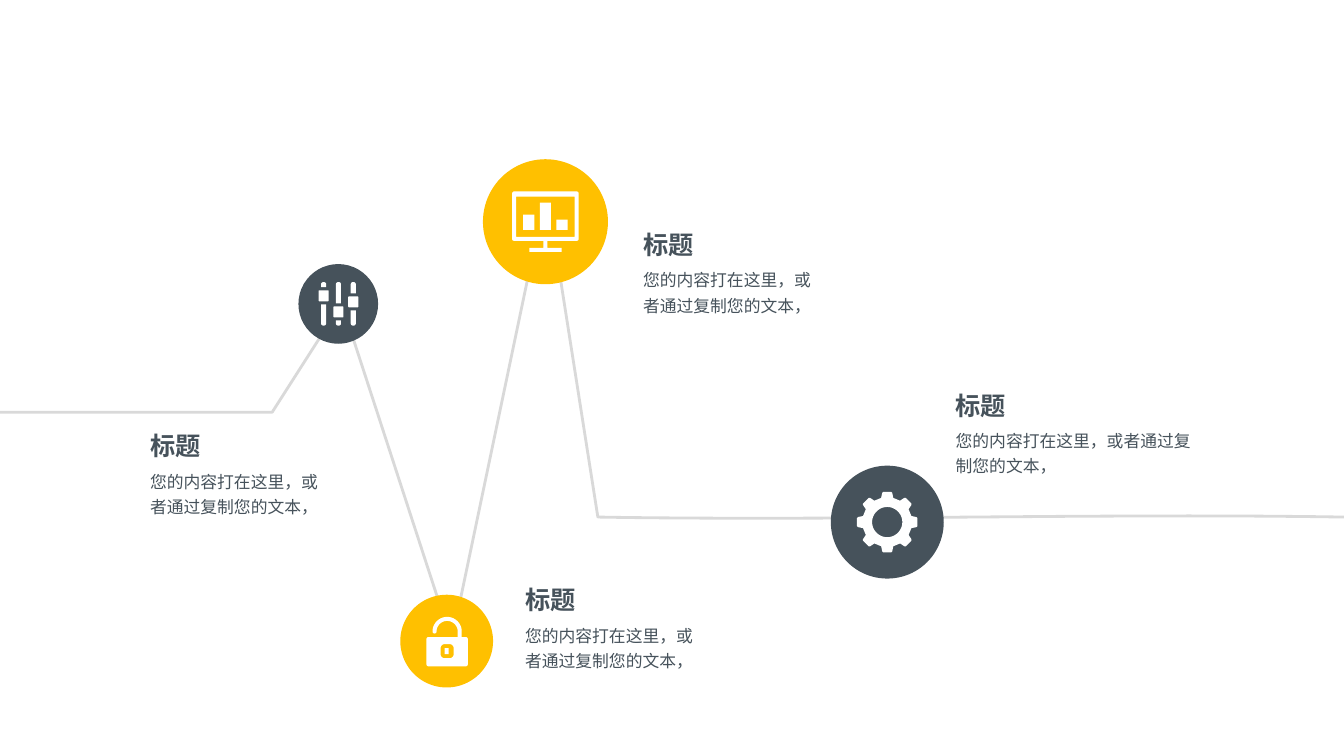
from dataclasses import dataclass
from math import cos, pi, radians, sin

from lxml.etree import SubElement
from pptx import Presentation
from pptx.dml.color import RGBColor
from pptx.enum.shapes import MSO_SHAPE as Shape
from pptx.enum.text import MSO_AUTO_SIZE as AutoSize
from pptx.oxml.ns import qn
from pptx.util import Inches, Pt


@dataclass(frozen=True)
class Theme:
    slate: RGBColor = RGBColor(0x46, 0x52, 0x5B)
    amber: RGBColor = RGBColor(0xFF, 0xC0, 0x00)
    path_gray: RGBColor = RGBColor(0xD9, 0xD9, 0xD9)
    white: RGBColor = RGBColor(0xFF, 0xFF, 0xFF)
    font: str = "Noto Sans CJK SC"
    title_size: Pt = Pt(18)
    body_size: Pt = Pt(12)


THEME = Theme()
TITLE = "标题"
BODY = "您的内容打在这里，或者通过复制您的文本，"


def fill_plain(shape, color):
    shape.shadow.inherit = False
    shape.fill.solid()
    shape.fill.fore_color.rgb = color
    shape.line.fill.background()


def add_outline(shapes, contours, close):
    contours = [[(Inches(x), Inches(y)) for x, y in contour] for contour in contours]
    builder = shapes.build_freeform(*contours[0][0], scale=1.0)
    builder.add_line_segments(contours[0][1:], close=close)
    for contour in contours[1:]:
        builder.move_to(*contour[0])
        builder.add_line_segments(contour[1:], close=close)
    return builder.convert_to_shape()


def arc(center_x, center_y, radius, start, end, steps=36):
    angles = [radians(start + (end - start) * i / steps) for i in range(steps + 1)]
    return [(center_x + radius * cos(a), center_y + radius * sin(a)) for a in angles]


def bezier(start, control_1, control_2, end, steps=24):
    def blend(t, a, b, c, d):
        u = 1 - t
        return u**3 * a + 3 * u * u * t * b + 3 * u * t * t * c + t**3 * d

    axes = list(zip(start, control_1, control_2, end))
    return [tuple(blend(i / steps, *axis) for axis in axes) for i in range(steps + 1)]


def block(left, top, width, height, top_radius=0, bottom_radius=0):
    right, bottom = left + width, top + height
    corners = (
        (left + top_radius, top + top_radius, top_radius, 180),
        (right - top_radius, top + top_radius, top_radius, 270),
        (right - bottom_radius, bottom - bottom_radius, bottom_radius, 0),
        (left + bottom_radius, bottom - bottom_radius, bottom_radius, 90),
    )
    points = []
    for x, y, radius, start in corners:
        points += arc(x, y, radius, start, start + 90, 8) if radius else [(x, y)]
    return points


def add_journey_line(shapes):
    bends = [(0, 4.09), (2.7, 4.09), (3.39, 3.01), (4.48, 6.36), (5.42, 1.88)]
    tail = bezier((5.93, 5.13), (8.4, 5.17), (10.87, 5.09), (13.33, 5.13))
    shape = add_outline(shapes, [bends + tail], close=False)
    shape.shadow.inherit = False
    shape.fill.background()
    shape.line.color.rgb = THEME.path_gray
    shape.line.width = Pt(2)


def sliders_icon():
    top, bottom, track_width, tip = 2.8, 3.23, 0.05, 0.02
    contours = []
    for index, knob_top in enumerate((2.88, 3.04, 2.94)):
        center = 3.21 + 0.147 * index
        left = center - track_width / 2
        lower_top = knob_top + 0.14
        contours += [
            block(left, top, track_width, knob_top - 0.03 - top, top_radius=tip),
            block(center - 0.05, knob_top, 0.1, 0.11, 0.01, 0.01),
            block(left, lower_top, track_width, bottom - lower_top, bottom_radius=tip),
        ]
    return contours


def monitor_icon():
    contours = [
        block(5.08, 1.9, 0.66, 0.49, 0.02, 0.02),
        block(5.12, 1.95, 0.58, 0.4),
        block(5.39, 2.39, 0.04, 0.07),
        block(5.25, 2.46, 0.32, 0.04),
    ]
    for index, height in enumerate((0.15, 0.27, 0.1)):
        contours.append(block(5.19 + 0.165 * index, 2.28 - height, 0.11, height))
    return contours


def lock_icon():
    shackle = (
        arc(4.435, 6.265, 0.145, -180, 0)
        + [(4.58, 6.32), (4.54, 6.32)]
        + arc(4.435, 6.265, 0.105, 0, -180)
        + arc(4.31, 6.265, 0.02, 0, 180, 8)
    )
    return [
        shackle,
        block(4.23, 6.32, 0.41, 0.29, 0.02, 0.02),
        block(4.37, 6.39, 0.13, 0.14, 0.04, 0.04),
        block(4.41, 6.43, 0.04, 0.06),
    ]


def gear_icon():
    center_x, center_y = 8.8, 5.18
    tooth = [(0.24, -0.06), (0.29, -0.05), (0.3, -0.04), (0.3, 0.04), (0.29, 0.05), (0.24, 0.06)]
    rim = []
    for index in range(8):
        turn = index * pi / 4
        rim += [(center_x + x * cos(turn) - y * sin(turn),
                 center_y + x * sin(turn) + y * cos(turn)) for x, y in tooth]
    return [rim, arc(center_x, center_y, 0.15, 360, 0)]


def add_milestone(shapes, left, top, diameter, color, icon):
    group = shapes.add_group_shape()
    circle = group.shapes.add_shape(
        Shape.OVAL, Inches(left), Inches(top), Inches(diameter), Inches(diameter))
    fill_plain(circle, color)
    fill_plain(add_outline(group.shapes, icon, close=True), THEME.white)


def add_text(shapes, text, left, top, width, height, size, bold=False, spacing=None):
    box = shapes.add_textbox(Inches(left), Inches(top), Inches(width), Inches(height))
    frame = box.text_frame
    frame.word_wrap = True
    frame.auto_size = AutoSize.SHAPE_TO_FIT_TEXT
    paragraph = frame.paragraphs[0]
    if spacing:
        paragraph.line_spacing = spacing
    run = paragraph.add_run()
    run.text = text
    run.font.name = THEME.font
    run.font.size = size
    run.font.bold = bold
    run.font.color.rgb = THEME.slate
    SubElement(run.font._element, qn("a:ea")).set("typeface", THEME.font)


def add_caption(shapes, left, title_top, body_top, body_width):
    group = shapes.add_group_shape()
    add_text(group.shapes, BODY, left, body_top, body_width, 0.61, THEME.body_size, spacing=1.25)
    add_text(group.shapes, TITLE, left, title_top, 1.27, 0.4, THEME.title_size, bold=True)


def main():
    presentation = Presentation()
    presentation.slide_width = Inches(13.33)
    presentation.slide_height = Inches(7.5)
    slide = presentation.slides.add_slide(presentation.slide_layouts[6])
    shapes = slide.shapes

    add_journey_line(shapes)
    for milestone in (
        (2.96, 2.62, 0.79, THEME.slate, sliders_icon()),
        (4.79, 1.58, 1.24, THEME.amber, monitor_icon()),
        (3.97, 5.9, 0.92, THEME.amber, lock_icon()),
        (8.24, 4.62, 1.12, THEME.slate, gear_icon()),
    ):
        add_milestone(shapes, *milestone)
    for caption in (
        (5.11, 5.75, 6.11, 1.97),
        (1.39, 4.22, 4.58, 1.97),
        (6.28, 2.23, 2.58, 1.97),
        (9.38, 3.82, 4.17, 2.62),
    ):
        add_caption(shapes, *caption)

    presentation.save("out.pptx")


if __name__ == "__main__":
    main()
